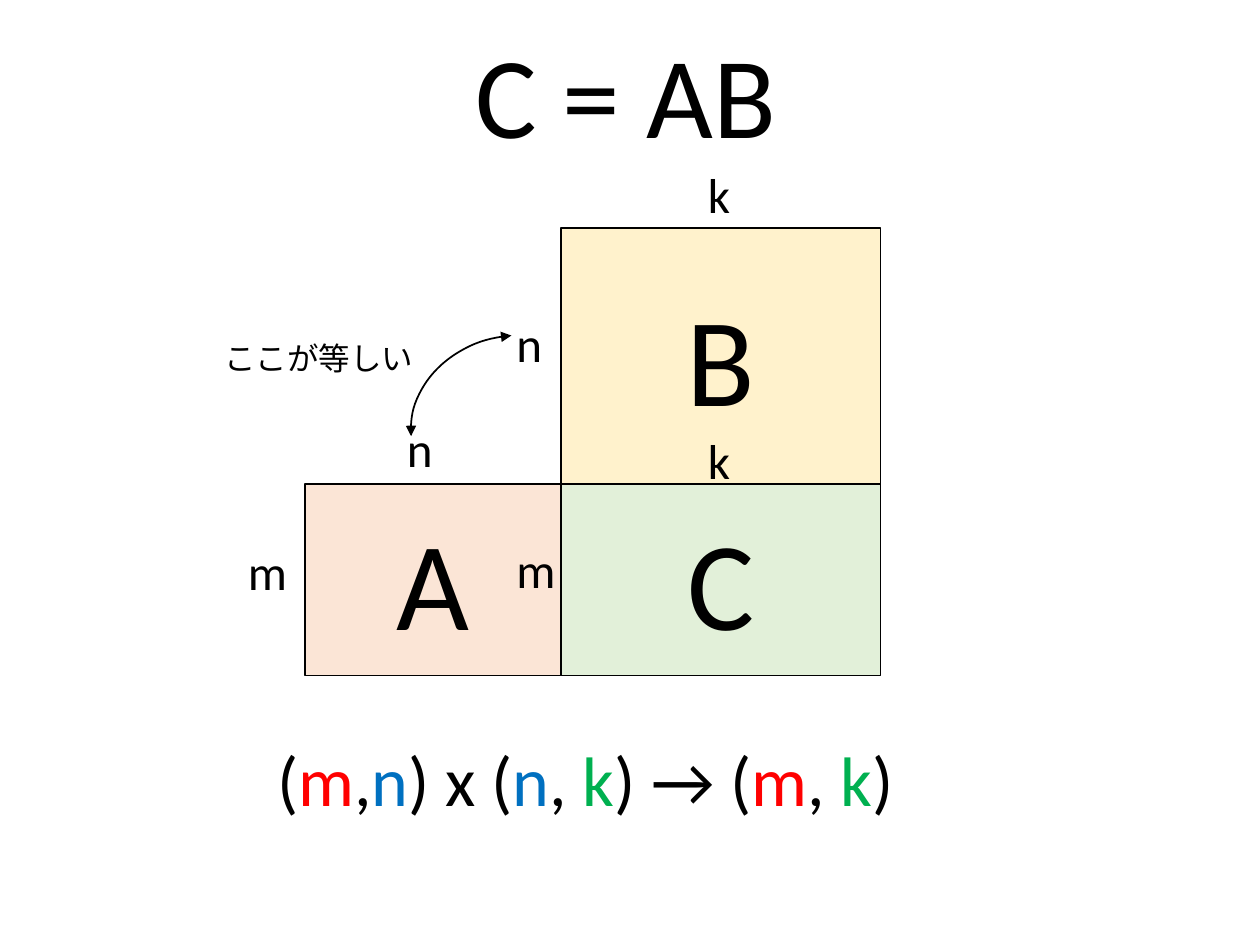
"""Build a slide showing the shapes of a matrix product."""
from lxml.etree import SubElement
from pptx import Presentation
from pptx.dml.color import RGBColor
from pptx.enum.shapes import MSO_SHAPE as Shape
from pptx.enum.text import MSO_ANCHOR as Anchor, MSO_AUTO_SIZE as AutoSize, PP_ALIGN as Align
from pptx.oxml.ns import qn
from pptx.util import Pt

BLACK = RGBColor(0x00, 0x00, 0x00)
RED = RGBColor(0xFF, 0x00, 0x00)
BLUE = RGBColor(0x00, 0x70, 0xC0)
GREEN = RGBColor(0x00, 0xB0, 0x50)
PEACH = RGBColor(0xFB, 0xE5, 0xD6)
CREAM = RGBColor(0xFF, 0xF2, 0xCC)
MINT = RGBColor(0xE2, 0xF0, 0xD9)


def write(shape, *runs, size, align=Align.LEFT, anchor=Anchor.TOP, wrap=True, colors={}):
    frame = shape.text_frame
    frame.word_wrap = wrap
    frame.auto_size = AutoSize.NONE
    frame.vertical_anchor = anchor
    paragraph = frame.paragraphs[0]
    paragraph.alignment = align
    for text in runs:
        run = paragraph.add_run()
        run.text = text
        run.font.name = "Calibri"
        run.font.size = Pt(size)
        run.font.color.rgb = colors.get(text, BLACK)


def add_outlined(kind, left, top, width, height):
    shape = slide.shapes.add_shape(kind, Pt(left), Pt(top), Pt(width), Pt(height))
    shape.shadow.inherit = False
    shape.line.color.rgb = BLACK
    shape.line.width = Pt(1)
    return shape


presentation = Presentation()
presentation.slide_width = Pt(720)
presentation.slide_height = Pt(540)
slide = presentation.slides.add_slide(presentation.slide_layouts[5])

title = slide.shapes.title
title.left, title.top, title.width, title.height = Pt(263.5), Pt(9.4), Pt(188), Pt(87)
write(title, "C = AB", size=66, align=Align.CENTER, wrap=False)

m_size, n_size, k_size = 109.5, 146.2, 182.8
corner_x, corner_y = 320.4, 276.5
matrices = [
    ("A", corner_x - n_size, corner_y, n_size, m_size, PEACH),
    ("B", corner_x, corner_y - n_size, k_size, n_size, CREAM),
    ("C", corner_x, corner_y, k_size, m_size, MINT),
]
for name, left, top, width, height, color in matrices:
    matrix = add_outlined(Shape.RECTANGLE, left, top, width, height)
    matrix.fill.solid()
    matrix.fill.fore_color.rgb = color
    write(matrix, name, size=72, align=Align.CENTER, anchor=Anchor.MIDDLE)

dimensions = [
    ("m", 134.6, 306), ("n", 225.4, 235.4), ("n", 288, 175.7),
    ("k", 397.4, 90.7), ("m", 288, 304.6), ("k", 397.4, 242.6),
]
for name, left, top in dimensions:
    label = slide.shapes.add_textbox(Pt(left), Pt(top), Pt(38), Pt(41))
    write(label, name, size=28)

arc = add_outlined(Shape.ARC, 243.4, 182.9, 105.8, 123.1)
arc.fill.background()
arc.rotation = 265.6
arc_line = arc.line._get_or_add_ln()
for end in ("a:headEnd", "a:tailEnd"):
    SubElement(arc_line, qn(end), type="triangle")

note = slide.shapes.add_textbox(Pt(121), Pt(190), Pt(124), Pt(29))
write(note, "ここが等しい", size=18, wrap=False)

rule = slide.shapes.add_textbox(Pt(151.2), Pt(417.6), Pt(370.8), Pt(55.4))
write(rule, "(", "m", ",", "n", ") x (", "n", ", ", "k", ") → (", "m", ", ", "k", ")",
      size=40, wrap=False, colors={"m": RED, "n": BLUE, "k": GREEN})

presentation.save("out.pptx")
